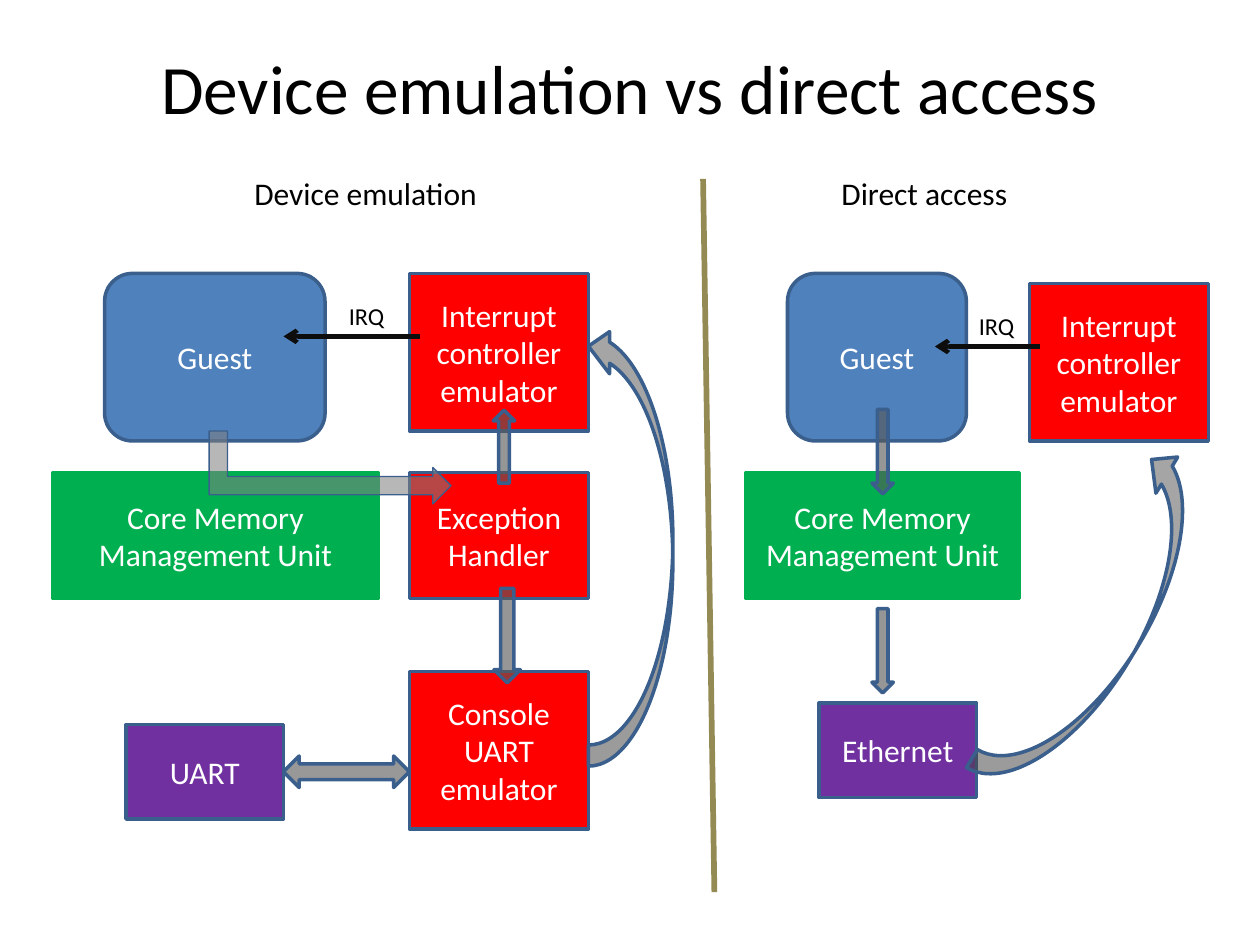
from lxml import etree
from pptx import Presentation
from pptx.dml.color import RGBColor
from pptx.enum.shapes import MSO_CONNECTOR, MSO_SHAPE
from pptx.enum.text import MSO_ANCHOR, MSO_AUTO_SIZE, PP_ALIGN
from pptx.oxml.ns import qn
from pptx.util import Inches, Pt

RECT, ROUNDED = MSO_SHAPE.RECTANGLE, MSO_SHAPE.ROUNDED_RECTANGLE
RIGHT, BOTH_WAYS = MSO_SHAPE.RIGHT_ARROW, MSO_SHAPE.LEFT_RIGHT_ARROW
BENT, CURVED = MSO_SHAPE.BENT_UP_ARROW, MSO_SHAPE.CURVED_RIGHT_ARROW
STRAIGHT = MSO_CONNECTOR.STRAIGHT
LEFT, CENTER = PP_ALIGN.LEFT, PP_ALIGN.CENTER
TOP, MIDDLE = MSO_ANCHOR.TOP, MSO_ANCHOR.MIDDLE
FIT_SHAPE = MSO_AUTO_SIZE.SHAPE_TO_FIT_TEXT
NO_FIT = MSO_AUTO_SIZE.NONE

COLORS = {
    "text": "000000", "box_text": "FFFFFF", "outline": "3A5F8C",
    "guest": "4F81BD", "mmu": "00B050", "device": "7030A0",
    "emulator": "FF0000", "flow": "595959", "trap": "808080",
    "irq": "0D0D0D", "divider": "948A54",
}


def rgb(name):
    return RGBColor.from_string(COLORS[name])


def write(frame, text, size=18, color="text", align=LEFT, anchor=TOP, wrap=True, fit=NO_FIT):
    frame.word_wrap = wrap
    frame.auto_size = fit
    frame.vertical_anchor = anchor
    paragraph = frame.paragraphs[0]
    paragraph.alignment = align
    run = paragraph.add_run()
    run.text = text
    run.font.name = "Calibri"
    run.font.size = Pt(size)
    run.font.color.rgb = rgb(color)


class Diagram:
    def __init__(self, slide):
        self.slide = slide
        self.shapes = slide.shapes

    def title(self, text, *bounds):
        title = self.shapes.title
        title.left, title.top, title.width, title.height = map(Inches, bounds)
        write(title.text_frame, text, size=39.6, align=CENTER, anchor=MIDDLE)

    def label(self, text, *bounds, **style):
        box = self.shapes.add_textbox(*map(Inches, bounds))
        write(box.text_frame, text, **style)

    def outlined(self, kind, bounds, fill, line="outline", width=2):
        shape = self.shapes.add_shape(kind, *map(Inches, bounds))
        shape.shadow.inherit = False
        shape.fill.solid()
        shape.fill.fore_color.rgb = rgb(fill)
        shape.line.color.rgb = rgb(line)
        shape.line.width = Pt(width)
        return shape

    def box(self, text, *bounds, fill, line="outline", kind=RECT):
        shape = self.outlined(kind, bounds, fill, line)
        write(shape.text_frame, text, color="box_text", align=CENTER, anchor=MIDDLE)

    def block_arrow(self, kind, *bounds, turn=0, opacity=63, fill="flow", width=2):
        arrow = self.outlined(kind, bounds, fill, width=width)
        arrow.rotation = turn
        color = arrow._element.spPr.find(qn("a:solidFill"))[0]
        etree.SubElement(color, qn("a:alpha"), val=str(opacity * 1000))

    def line(self, *ends, color, width, arrow=False):
        line = self.shapes.add_connector(STRAIGHT, *map(Inches, ends))
        line.line.color.rgb = rgb(color)
        line.line.width = Pt(width)
        properties = line._element.spPr
        if arrow:
            etree.SubElement(properties.find(qn("a:ln")), qn("a:tailEnd"), type="arrow")
        etree.SubElement(properties, qn("a:effectLst"))

    def heading(self, text, left, width):
        self.label(text, left, 1.33, width, 0.4, wrap=False, fit=FIT_SHAPE)

    def guest(self, left, width):
        self.box("Guest", left, 2.17, width, 1.33, fill="guest", kind=ROUNDED)

    def memory_unit(self, left, width):
        self.box("Core Memory Management Unit", left, 3.75, width, 1, fill="mmu", line="mmu")

    def device(self, text, left, top):
        self.box(text, left, top, 1.25, 0.75, fill="device")

    def emulator(self, text, left, top, height=1.25):
        self.box(text, left, top, 1.42, height, fill="emulator")

    def irq(self, start, end, y, label_left):
        self.line(start, y, end, y, color="irq", width=2.5, arrow=True)
        self.label("IRQ", label_left, y - 0.33, 0.5, 0.33, size=13.9)


def draw_emulation(diagram):
    diagram.heading("Device emulation", 1.92, 1.99)
    diagram.guest(0.83, 1.75)
    diagram.memory_unit(0.42, 2.58)
    diagram.device("UART", 1, 5.75)
    diagram.emulator("Exception Handler", 3.25, 3.75, height=1)
    diagram.emulator("Console UART emulator", 3.25, 5.33)
    diagram.block_arrow(BENT, 2.33, 2.75, 0.58, 1.92, turn=90, opacity=56, fill="trap", width=0)
    diagram.block_arrow(RIGHT, 3.65, 4.94, 0.75, 0.21, turn=90)
    diagram.block_arrow(BOTH_WAYS, 2.25, 6, 1, 0.25, opacity=62)
    diagram.emulator("Interrupt controller emulator", 3.25, 2.17)
    diagram.block_arrow(CURVED, 4.67, 2.58, 0.67, 3.5, turn=180, opacity=54)
    diagram.irq(3.33, 2.25, 2.67, label_left=2.67)
    diagram.block_arrow(RIGHT, 3.71, 3.46, 0.58, 0.17, turn=270)


def draw_direct_access(diagram):
    diagram.heading("Direct access", 6.58, 1.53)
    diagram.guest(6.25, 1.42)
    diagram.memory_unit(5.92, 2.17)
    diagram.device("Ethernet", 6.5, 5.58)
    diagram.emulator("Interrupt controller emulator", 8.17, 2.25)
    diagram.block_arrow(CURVED, 8.4, 3.46, 0.67, 3.02, turn=211, opacity=54)
    diagram.irq(8.25, 7.42, 2.75, label_left=7.67)
    for top in (5.08, 3.5):
        diagram.block_arrow(RIGHT, 6.67, top, 0.67, 0.17, turn=90)


def main():
    deck = Presentation()
    deck.slide_width, deck.slide_height = Inches(10), Inches(7.5)
    diagram = Diagram(deck.slides.add_slide(deck.slide_layouts[5]))
    diagram.title("Device emulation vs direct access", 0.5, 0.3, 9, 0.78)
    diagram.line(5.58, 1.42, 5.67, 7.08, color="divider", width=3.25)
    draw_emulation(diagram)
    draw_direct_access(diagram)
    deck.save("out.pptx")


if __name__ == "__main__":
    main()
